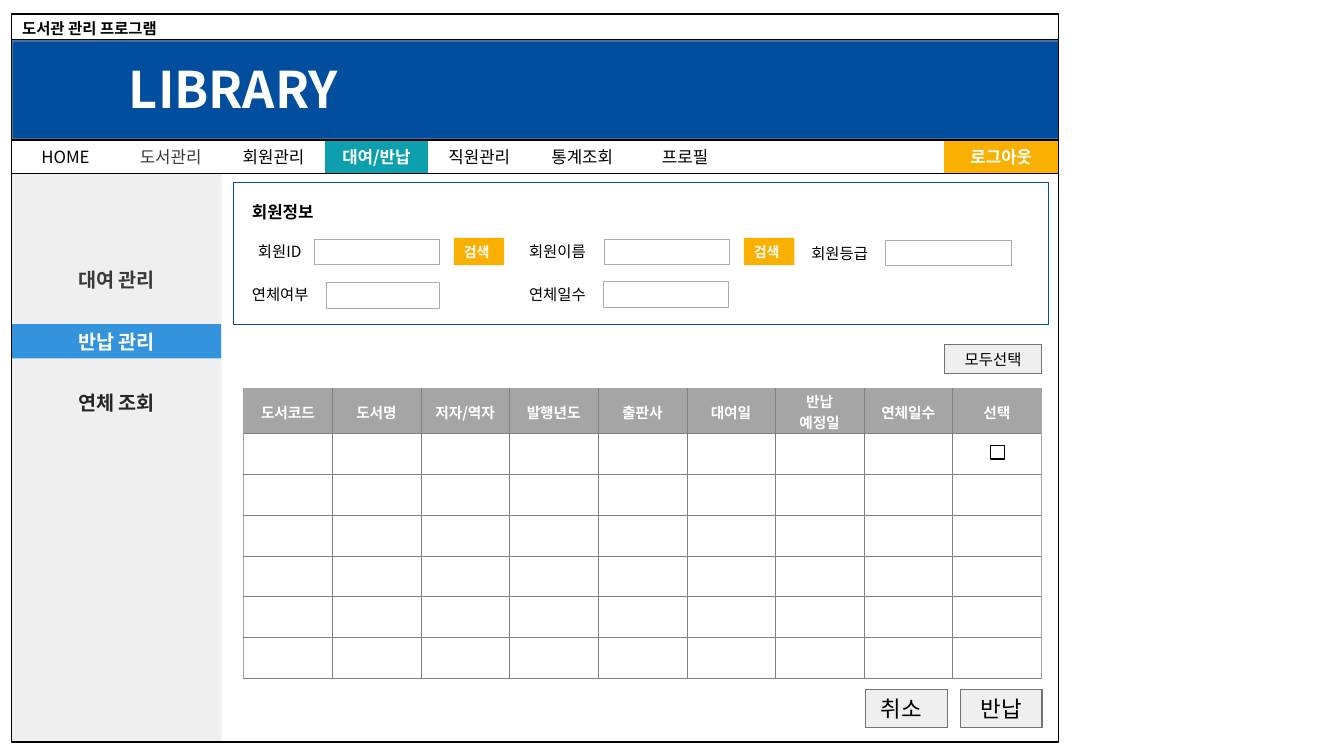
import pptx
import pptx.dml.color
import pptx.enum.shapes
import pptx.enum.text
import pptx.oxml.ns
import pptx.util
from lxml import etree

Pt = pptx.util.Pt
qn = pptx.oxml.ns.qn
SHAPE = pptx.enum.shapes.MSO_SHAPE
ALIGN = pptx.enum.text.PP_ALIGN
MIDDLE = pptx.enum.text.MSO_ANCHOR.MIDDLE

BLUE, AMBER, TEAL, SKY = "014E9E", "FAB000", "0CA0AE", "3493DD"
BLACK, WHITE, PALE = "000000", "FFFFFF", "EFEFEF"
EDGE, GRID, FIELD_LINE, BUTTON_LINE = "A5A5A5", "808080", "AFABAB", "767171"


def rgb(value):
    return pptx.dml.color.RGBColor.from_string(value)


class Page:
    font = "Noto Sans CJK KR"

    def __init__(self, prs):
        self.slide = prs.slides.add_slide(prs.slide_layouts[5])
        self.shapes = self.slide.shapes

    def group(self):
        """Put the following shapes into a new group."""
        self.shapes = self.slide.shapes.add_group_shape().shapes

    def ungroup(self):
        self.shapes = self.slide.shapes

    def run(self, p, text, size, color, bold):
        r = p.add_run()
        r.text = text
        r.font.size = Pt(size)
        r.font.bold = bold
        r.font.color.rgb = rgb(color)
        r.font.name = self.font
        ea = etree.SubElement(r.font._element, qn("a:ea"))
        ea.set("typeface", self.font)

    def label(self, sp, text, size, color=BLACK, bold=False, center=True):
        tf = sp.text_frame
        tf.word_wrap = True
        tf.auto_size = pptx.enum.text.MSO_AUTO_SIZE.NONE
        tf.vertical_anchor = MIDDLE
        p = tf.paragraphs[0]
        p.alignment = ALIGN.CENTER if center else ALIGN.LEFT
        self.run(p, text, size, color, bold)

    def title(self, x, y, w, h, text, size):
        sp = self.slide.shapes.title
        sp.left, sp.top, sp.width, sp.height = Pt(x), Pt(y), Pt(w), Pt(h)
        self.label(sp, text, size, bold=True, center=False)

    def text(self, x, y, w, h, text, size, color=BLACK, bold=False, center=False):
        sp = self.shapes.add_textbox(Pt(x), Pt(y), Pt(w), Pt(h))
        self.label(sp, text, size, color, bold, center)

    def box(self, x, y, w, h, fill=None, line=None, width=1, kind=SHAPE.RECTANGLE):
        sp = self.shapes.add_shape(kind, Pt(x), Pt(y), Pt(w), Pt(h))
        sp.shadow.inherit = False
        if fill:
            sp.fill.solid()
            sp.fill.fore_color.rgb = rgb(fill)
        else:
            sp.fill.background()
        if line:
            sp.line.color.rgb = rgb(line)
            sp.line.width = Pt(width)
        else:
            sp.line.fill.background()
        return sp

    def outline(self, x, y, w, h):
        self.box(x, y, w, h, line=BLACK, kind=SHAPE.FLOWCHART_PROCESS)

    def field(self, x, y, w):
        self.box(x, y, w, 18.2, WHITE, FIELD_LINE, 0.25)

    def search(self, x):
        sp = self.box(x, 170, 36, 19.4, AMBER)
        self.label(sp, "검색", 10, WHITE, True, center=False)

    def button(self, x, y, w, h, text, size):
        sp = self.box(x, y, w, h, PALE, BUTTON_LINE, 0.75)
        self.label(sp, text, size)
        return sp

    def tab(self, x, w, text, fill, color, bold):
        sp = self.box(x, 100, w, 23.8, fill, kind=SHAPE.FLOWCHART_PROCESS)
        self.label(sp, text, 12, color, bold)

    def borders(self, cell, outer):
        """Edge sides in outer get the lighter colour, the rest the grid colour."""
        tcPr = cell._tc.get_or_add_tcPr()
        for side in "LRTB":
            color, width = (EDGE, 0.5) if side in outer else (GRID, 0.25)
            ln = etree.SubElement(tcPr, qn("a:ln" + side), w=str(Pt(width)))
            solid = etree.SubElement(ln, qn("a:solidFill"))
            etree.SubElement(solid, qn("a:srgbClr"), val=color)

    def table(self, x, y, w, headers, rows, head_h, row_h):
        n = len(headers)
        frame = self.shapes.add_table(rows + 1, n, Pt(x), Pt(y), Pt(w), Pt(head_h + rows * row_h))
        table = frame.table
        table.first_row = table.horz_banding = False
        for col in table.columns:
            col.width = Pt(w / n)
        for i, row in enumerate(table.rows):
            row.height = Pt(row_h if i else head_h)
            for j, cell in enumerate(row.cells):
                cell.margin_left = cell.margin_right = cell.margin_top = cell.margin_bottom = 0
                cell.vertical_anchor = MIDDLE
                outer = ("L" if j == 0 else "") + ("R" if j == n - 1 else "") + ("" if i else "T")
                self.borders(cell, outer)
                if i:
                    cell.fill.background()
                    continue
                cell.margin_top = Pt(1.5)
                cell.fill.solid()
                cell.fill.fore_color.rgb = rgb(EDGE)
                for k, part in enumerate(headers[j].split("\n")):
                    tf = cell.text_frame
                    p = tf.add_paragraph() if k else tf.paragraphs[0]
                    p.alignment = ALIGN.CENTER
                    self.run(p, part, 10.5, WHITE, True)


def main():
    prs = pptx.Presentation()
    prs.slide_width, prs.slide_height = Pt(960), Pt(540)
    s = Page(prs)
    left, width = 8.3, 748

    # Sidebar background and window title
    s.box(8.6, 123.8, 149.8, 406, PALE)
    s.title(8.6, 10, 221, 20.6, "도서관 관리 프로그램", 11)

    # Banner
    s.group()
    s.box(8.6, 29.2, 747.4, 70, BLUE, "43739E")
    s.text(85, 37.4, 164, 51, "LIBRARY", 36, WHITE, True)
    s.ungroup()
    s.outline(left, 10, width, 18)

    # Sidebar menu
    s.box(8.6, 231.6, 149.4, 24.4, SKY)
    for i, (label, color) in enumerate([("대여 관리", "3B3838"), ("반납 관리", WHITE), ("연체 조회", "262626")]):
        s.text(8.6, 187.8 + 43.9 * i, 149.4, 24.4, label, 14, color, True, center=True)

    # Navigation bar
    s.group()
    s.tab(10.1, 73.4, "HOME", None, BLACK, False)
    tabs = ["도서관리", "회원관리", "대여/반납", "직원관리", "통계조회", "프로필"]
    for i, label in enumerate(tabs):
        active = label == "대여/반납"
        color = WHITE if active else BLACK if i else "3B3838"
        s.tab(85.2 + 73.5 * i, 73.4, label, TEAL if active else None, color, active)
    s.tab(674.6, 81.4, "로그아웃", AMBER, WHITE, True)
    s.outline(left, 100, width, 23.8)
    s.ungroup()
    s.outline(left, 10, width, 520)

    # Book table with its check box
    headers = ["도서코드", "도서명", "저자/역자", "발행년도", "출판사", "대여일",
               "반납\n예정일", "연체일수", "선택"]
    s.table(174, 277.2, 569.7, headers, 6, 32.2, 29.2)
    s.box(707.6, 318.2, 10.1, 9.6, WHITE, BLACK)

    # Member information panel
    s.box(166.6, 130.2, 582.5, 101.5, WHITE, BLUE)
    s.group()
    s.text(172.8, 140.4, 63.4, 21.6, "회원정보", 12, bold=True)
    labels = [(177.1, 169.2, "회원ID"), (370.8, 169.2, "회원이름"), (572.4, 170.6, "회원등급"),
              (172.8, 200, "연체여부"), (370.8, 199.6, "연체일수")]
    for x, y, label in labels:
        s.text(x, y, 62, 20.9, label, 11)
    fields = [(224.4, 170.8, 89.5), (431.4, 170.8, 89.5), (632.4, 171.6, 90),
              (232.9, 201.8, 81), (430.8, 201, 89.5)]
    for field in fields:
        s.field(*field)
    for x in (324.2, 531.4):
        s.search(x)
    s.ungroup()

    # Action buttons
    s.button(674.6, 246, 69.6, 21, "모두선택", 11)
    s.button(686, 492.6, 58.3, 27, "반납", 16)
    cancel = s.button(618.2, 492.6, 58.3, 27, "취소", 16)
    cancel.text_frame.paragraphs[0].alignment = ALIGN.LEFT
    cancel.text_frame.margin_left = Pt(10.8)

    prs.save("out.pptx")


if __name__ == "__main__":
    main()
